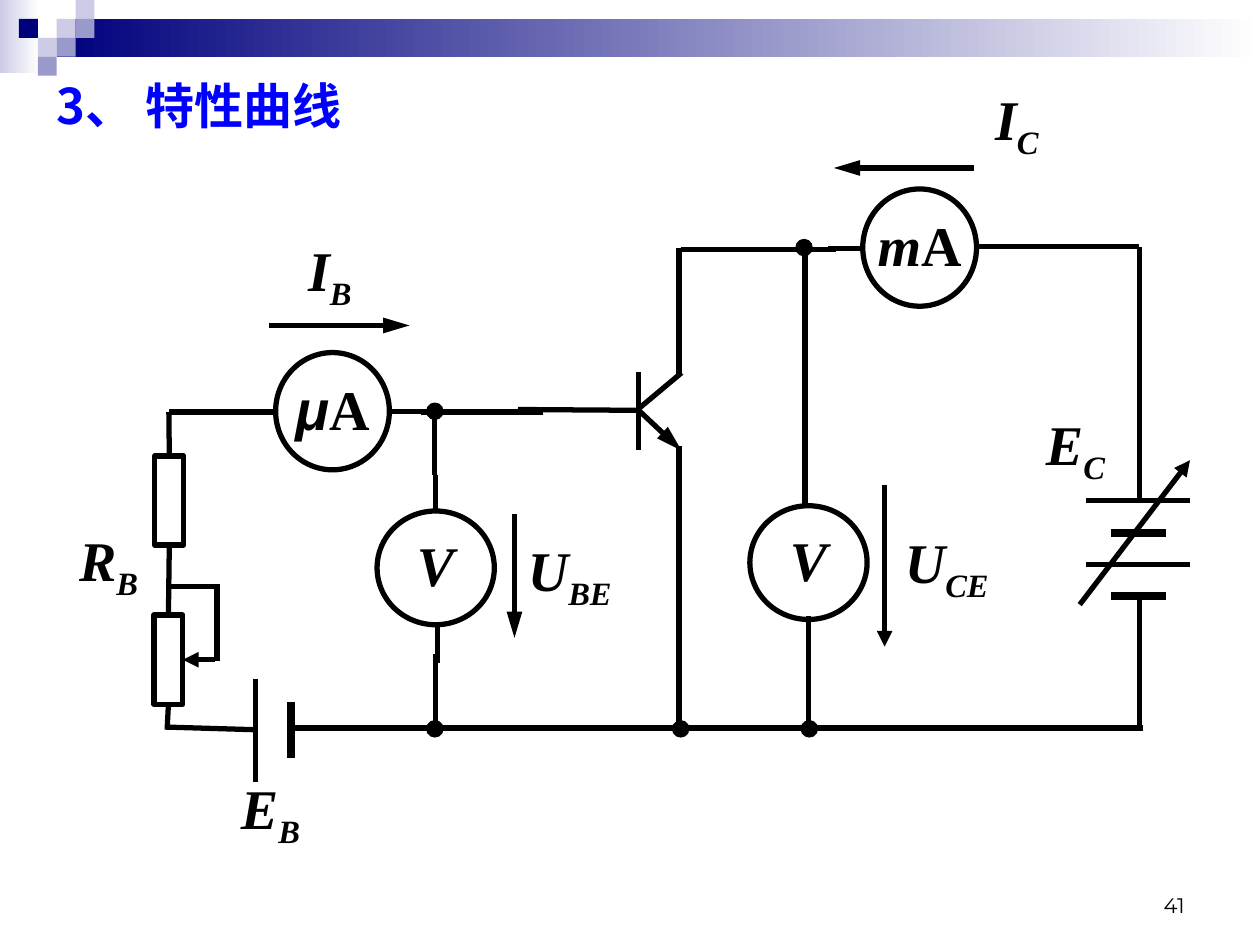
from lxml import etree
from pptx import Presentation
from pptx.dml.color import RGBColor
from pptx.enum import shapes as sh, text as tx
from pptx.oxml.ns import qn
from pptx.util import Pt

BLACK = RGBColor(0, 0, 0)
WHITE = RGBColor(255, 255, 255)
BLUE = RGBColor(0, 0, 255)
NAVY = RGBColor(0, 0, 0x7D)
PALE = RGBColor(0xCC, 0xCC, 0xE6)
LILAC = RGBColor(0x99, 0x99, 0xCC)

SERIF = "Times New Roman"
HAN = "Noto Sans CJK SC"
RECT = sh.MSO_SHAPE.RECTANGLE
OVAL = sh.MSO_SHAPE.OVAL
CELL = 10.8

# Format values
SYMBOL = dict(name=SERIF, size=Pt(32), bold=True, italic=True)
UNIT = dict(SYMBOL, italic=False)
MICRO = dict(SYMBOL, name="Arial")
HEAD = dict(name=HAN, size=Pt(28), bold=True)
NUMBER = dict(name="Montserrat", size=Pt(12))
INSETS = dict(margin_left=Pt(7.2), margin_right=Pt(7.2),
              margin_top=Pt(3.6), margin_bottom=Pt(3.6))
MIDDLE = dict(INSETS, word_wrap=False,
              vertical_anchor=tx.MSO_ANCHOR.MIDDLE)
BOTTOM = dict(INSETS, word_wrap=True,
              vertical_anchor=tx.MSO_ANCHOR.BOTTOM)

# Terminals: x1, y1, x2, y2
WIRES = [
    # base loop
    (137.5, 235.5, 96.5, 235.5), (157, 235.5, 137.5, 235.5),
    (224, 235, 245, 235), (240.5, 235.5, 310.5, 235.5),
    (296, 234, 366.5, 234.5),
    (95.5, 335, 124.5, 335), (124, 334, 124, 377.5),
    (95, 415.5, 145.5, 417),
    # base voltmeter branch
    (248.5, 271.5, 248.5, 233.5), (249, 291, 249, 271.5),
    (250, 358, 250, 379), (249, 374, 249, 418.5),
    # transistor
    (365, 212.5, 365, 257), (365, 233.5, 389.5, 213),
    (388, 142, 388, 214.5), (388, 255, 388, 419),
    # collector loop
    (389, 142.5, 478, 142.5), (492.5, 142, 473, 142),
    (559.5, 141, 580, 141), (576, 141, 651, 141),
    (651, 286, 651, 141), (651, 341, 651, 416),
    (460, 142.5, 460, 288), (462, 352, 462, 419),
    (165.5, 416, 653, 416),
]

# Plates: x1, y1, x2, y2, width
PLATES = [(146, 388, 146, 447, 3), (166.5, 401, 166.5, 433, 4.5)]
PLATES += [(680, y, 620.5, y, 3) for y in (286, 322.5)]
PLATES += [(666, y, 635, y, 4.5) for y in (304.5, 340.5)]

# Arrows: x1, y1, x2, y2, head length
ARROWS = [
    (154, 186, 234, 186, "lg"), (556.5, 96, 476.5, 96, "lg"),
    (294, 294, 294, 364.5, "lg"), (505.5, 277, 505.5, 369.5, "med"),
    (365, 234.5, 389.5, 257.5, "lg"), (617, 345.5, 680, 263, "med"),
]

# Meters: left, top, width, height, runs
VOLT = [("V", SYMBOL)]
METERS = [
    (493, 108, 65, 67, [("m", SYMBOL), ("A", UNIT)]),
    (157.5, 201.5, 65, 67, [("μ", MICRO), ("A", UNIT)]),
    (215.5, 292, 67, 65, VOLT),
    (428.5, 289, 67, 65, VOLT),
]

# Labels: left, top, width, letter, index
LABELS = [
    (561.5, 44.5, 39, "I", "C"), (169, 131, 39, "I", "B"),
    (506, 298, 70, "U", "CE"), (294.5, 302.5, 62, "U", "BE"),
    (38, 296.5, 48, "R", "B"), (590.5, 230.5, 48, "E", "C"),
    (130.5, 438.5, 48, "E", "B"),
]

NODES = [(248.5, 235), (248.5, 416.5), (389, 416.5), (459.5, 141.5),
         (462.5, 416.5)]


def put(item, values):
    for key, val in values.items():
        setattr(item, key, val)


def write(frame, runs, form, align, color=BLACK):
    """Fill a text frame with (text, font values[, baseline]) runs."""
    put(frame, form)
    para = frame.paragraphs[0]
    put(para, dict(alignment=align, space_before=Pt(0)))
    for words, font, *base in runs:
        run = para.add_run()
        run.text = words
        put(run.font, font)
        run.font.color.rgb = color
        props = run._r.get_or_add_rPr()
        if base:
            props.set("baseline", str(base[0]))
        if font["name"] == HAN:
            etree.SubElement(props, qn("a:ea"), typeface=HAN)


def label(slide, at, runs, form=MIDDLE, align=tx.PP_ALIGN.CENTER):
    box = slide.shapes.add_textbox(*map(Pt, at))
    write(box.text_frame, runs, form, align)


def block(slide, kind, at, fill=None, line=None, fade=False):
    item = slide.shapes.add_shape(kind, *map(Pt, at))
    item.shadow.inherit = False
    if fade:
        item.fill.gradient()
        item.fill.gradient_angle = 0
        for stop, color in zip(item.fill.gradient_stops, (fill, WHITE)):
            stop.color.rgb = color
    elif fill is not None:
        item.fill.solid()
        item.fill.fore_color.rgb = fill
    else:
        item.fill.background()
    if line:
        item.line.color.rgb = BLACK
        item.line.width = Pt(line)
    else:
        item.line.fill.background()
    return item


def wire(slide, ends, width=3, head=None):
    item = slide.shapes.add_connector(sh.MSO_CONNECTOR.STRAIGHT,
                                      *map(Pt, ends))
    item.line.color.rgb = BLACK
    item.line.width = Pt(width)
    if head:
        etree.SubElement(item.line._get_or_add_ln(), qn("a:tailEnd"),
                         type="triangle", w="med", len=head)
    etree.SubElement(item._element.spPr, qn("a:effectLst"))
    return item


def meter(slide, x, y, w, h, runs):
    block(slide, OVAL, (x, y, w, h), line=3)
    label(slide, (x, y + h / 2 - 25, w, 46), runs)


def banner(slide):
    block(slide, RECT, (0, 0, 22.5, 42), PALE, fade=True)
    block(slide, RECT, (3 * CELL, CELL, 720 - 3 * CELL, 2 * CELL), NAVY,
          fade=True)
    for col, row, color in [(3, 1, PALE), (4, 0, PALE), (4, 1, LILAC),
                            (2, 2, PALE), (1, 1, NAVY), (3, 2, LILAC),
                            (2, 3, LILAC)]:
        block(slide, RECT, (col * CELL, row * CELL, CELL, CELL), color)


def ladder(slide):
    """Fixed resistor and rheostat, joined in series."""
    fixed = block(slide, RECT, (88.5, 260.5, 16.5, 51), line=3)
    slider = block(slide, RECT, (88, 351.5, 16.5, 51), line=3)
    wire(slide, (96.5, 235.5, 96.5, 260.5)).end_connect(fixed, 0)
    link = wire(slide, (96.5, 311.5, 96.5, 351.5))
    link.begin_connect(fixed, 2)
    link.end_connect(slider, 0)
    wire(slide, (95.5, 402.5, 95.5, 417)).begin_connect(slider, 2)
    wire(slide, (123, 377, 104.5, 377), head="med").end_connect(slider, 3)


def main():
    deck = Presentation()
    put(deck, dict(slide_width=Pt(720), slide_height=Pt(540)))
    slide = deck.slides.add_slide(deck.slide_layouts[5])
    banner(slide)

    # Title and page number
    title = slide.shapes.title
    put(title, dict(left=Pt(25), top=Pt(39.5), width=Pt(188.5),
                    height=Pt(41)))
    write(title.text_frame, [("3、 特性曲线", HEAD)], MIDDLE,
          tx.PP_ALIGN.LEFT, BLUE)
    label(slide, (516, 492, 168, 36), [("41", NUMBER)], BOTTOM,
          tx.PP_ALIGN.RIGHT)

    # Circuit
    ladder(slide)
    for ends in WIRES:
        wire(slide, ends)
    for *ends, width in PLATES:
        wire(slide, ends, width)
    for *ends, head in ARROWS:
        wire(slide, ends, head=head)
    for spot in METERS:
        meter(slide, *spot)
    for x, y, w, letter, index in LABELS:
        label(slide, (x, y, w, 51),
              [(letter, SYMBOL), (index, SYMBOL, -25000)])
    for x, y in NODES:
        block(slide, OVAL, (x - 4.5, y - 4.5, 9, 9), BLACK, 1)

    deck.save("out.pptx")


if __name__ == "__main__":
    main()
